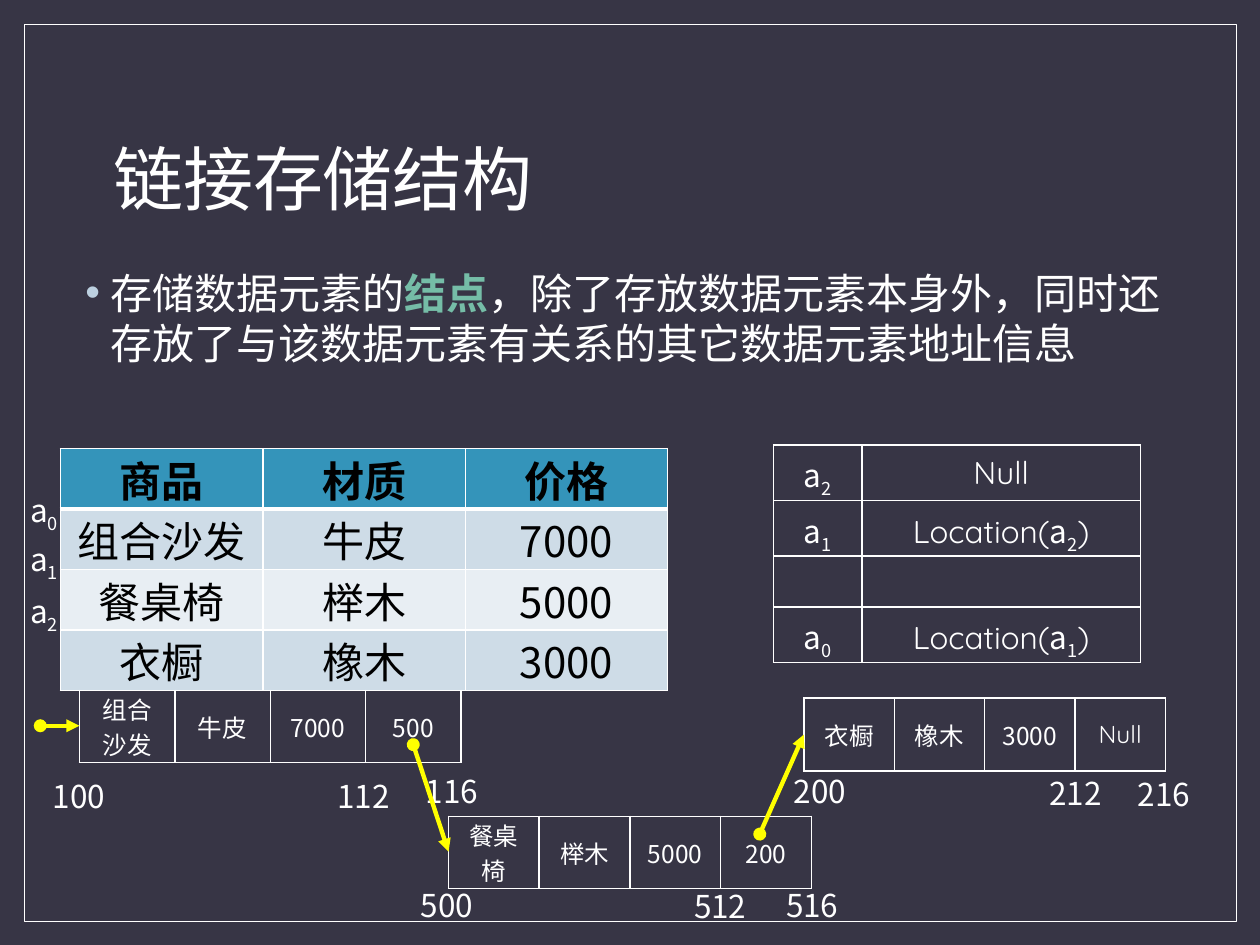
from pptx import Presentation
from pptx.dml.color import RGBColor
from pptx.enum.shapes import MSO_CONNECTOR as Conn, MSO_SHAPE as Shape
from pptx.enum.text import MSO_ANCHOR as Anchor, PP_ALIGN as Align
from pptx.oxml import parse_xml
from pptx.oxml.ns import nsdecls
from pptx.util import Inches, Pt

WHITE = RGBColor(0xFF, 0xFF, 0xFF)
BLACK = RGBColor(0, 0, 0)
DARK = RGBColor(0x37, 0x35, 0x45)
GREEN = RGBColor(0x75, 0xBD, 0xA7)
BLUE = RGBColor(0x34, 0x94, 0xBA)
PALE = RGBColor(0xCE, 0xDC, 0xE7)
LIGHT = RGBColor(0xE8, 0xEE, 0xF3)
MIST = RGBColor(0xBC, 0xD0, 0xE0)
YELLOW = RGBColor(0xFF, 0xFF, 0)
HAN = "Noto Sans CJK SC"
LATIN = "Quicksand"


def node(xml):
    return parse_xml(f"<a:p {nsdecls('a')}>{xml}</a:p>")[0]


def write(par, bits, **base):
    for text, own in bits:
        run = par.add_run()
        run.text = text
        fmt = {"name": HAN, "size": 18, "color": WHITE, **base, **own}
        color, sub = fmt.pop("color"), fmt.pop("sub", False)
        fmt["size"] = Pt(fmt["size"])
        for key, val in fmt.items():
            setattr(run.font, key, val)
        run.font.color.rgb = color
        props = run._r.get_or_add_rPr()
        props.append(node(f'<a:ea typeface="{fmt["name"]}"/>'))
        if sub:
            props.set("baseline", "-25000")


def plain(text):
    return [(text, {})]


def item(num):
    return [("a", {}), (str(num), {"sub": True})]


def link(num):
    return [("Location(", {"name": LATIN}), *item(num), (")", {"name": LATIN})]


def add_text(slide, box, bits, wrap=True, anchor=Anchor.TOP, **fmt):
    frame = slide.shapes.add_textbox(*map(Inches, box)).text_frame
    frame.word_wrap = wrap
    frame.vertical_anchor = anchor
    par = frame.paragraphs[0]
    write(par, bits, **fmt)
    return par


def edge(cell, side, width):
    cell._tc.get_or_add_tcPr().append(node(
        f'<a:ln{side} w="{Pt(width)}"><a:solidFill>'
        f'<a:srgbClr val="{WHITE}"/></a:solidFill></a:ln{side}>'))


def add_grid(slide, box, rows, wide, high, fills, pad=None, **fmt):
    frame = slide.shapes.add_table(len(rows), len(wide), *map(Inches, box))
    table = frame.table
    table.first_row = table.horz_banding = False
    for col, size in zip(table.columns, wide):
        col.width = Inches(size)
    for r, row in enumerate(rows):
        table.rows[r].height = Inches(high)
        for c, bits in enumerate(row):
            cell = table.cell(r, c)
            for key, val in (pad or {}).items():
                setattr(cell, f"margin_{key}", Inches(val))
            par = cell.text_frame.paragraphs[0]
            par.alignment = Align.CENTER
            write(par, bits, **fmt)
            for side in "LRTB":
                edge(cell, side, 1)
            if fills[r] is None:
                cell.fill.background()
            else:
                cell.fill.solid()
                cell.fill.fore_color.rgb = fills[r]
    return table


def add_goods(slide, box):
    names = [("商品", "材质", "价格"), ("组合沙发", "牛皮", "7000"),
             ("餐桌椅", "榉木", "5000"), ("衣橱", "橡木", "3000")]
    rows = [[plain(name) for name in row] for row in names]
    pad = dict.fromkeys(("left", "right", "top", "bottom"), 0)
    table = add_grid(slide, box, rows, [box[2] / 3] * 3, box[3] / 4,
                     [BLUE, PALE, LIGHT, PALE], pad, size=24, color=BLACK)
    for cell in table.rows[0].cells:
        cell.text_frame.paragraphs[0].runs[0].font.bold = True
        for line in cell._tc.tcPr.findall("{*}lnB"):
            line.set("w", str(Pt(3)))
    for num, top in enumerate((0.29, 0.68, 1.09)):
        add_text(slide, (box[0] - 0.34, box[1] + top, 0.64, 0.4), item(num))


def add_links(slide, box):
    rows = [[item(2), [("Null", {"name": LATIN})]], [item(1), link(2)],
            [[], []], [item(0), link(1)]]
    table = add_grid(slide, box, rows, (0.7, box[2] - 0.7), box[3] / 4, [None] * 4)
    for cell in table.iter_cells():
        cell.vertical_anchor = Anchor.MIDDLE


def add_node(slide, box, words, marks):
    row = [[(word, {"name": LATIN if word == "Null" else HAN})] for word in words]
    table = add_grid(slide, box, [row], [box[2] / 4] * 4, box[3], [DARK],
                     {"top": 0, "bottom": 0}, size=14)
    for cell in table.iter_cells():
        cell.vertical_anchor = Anchor.MIDDLE
    table.cell(0, 3).fill.background()
    for mark, left, top in marks:
        add_text(slide, (left, top, 0.62, 0.4), plain(mark), wrap=False)


def add_arrow(slide, start, end):
    line = slide.shapes.add_connector(Conn.STRAIGHT, *map(Inches, start + end))
    line.line.color.rgb = YELLOW
    line.line.width = Pt(2.5)
    stroke = line.line._get_or_add_ln()
    stroke.append(node('<a:headEnd type="oval"/>'))
    stroke.append(node('<a:tailEnd type="triangle"/>'))
    line._element.spPr.append(node("<a:effectLst/>"))


def add_frame(slide, box):
    rect = slide.shapes.add_shape(Shape.RECTANGLE, *map(Inches, box))
    rect.shadow.inherit = False
    rect.fill.background()
    rect.line.color.rgb = WHITE
    rect.line.width = Pt(0.5)


def add_body(slide, box):
    bits = [("存储数据元素的", {}), ("结点", {"color": GREEN, "bold": True}),
            ("，除了存放数据元素本身外，同时还存放了与该数据元素有关系的其它数据元素地址信息", {})]
    par = add_text(slide, box, bits, size=24)
    par.line_spacing = 1.0
    props = par._p.get_or_add_pPr()
    props.set("marL", str(Inches(0.2)))
    props.set("indent", str(Inches(-0.2)))
    for xml in (f'<a:buClr><a:srgbClr val="{MIST}"/></a:buClr>',
                '<a:buFont typeface="Arial"/>', '<a:buChar char="•"/>'):
        props.append(node(xml))


def main():
    deck = Presentation()
    deck.slide_width, deck.slide_height = Inches(10), Inches(7.5)
    slide = deck.slides.add_slide(deck.slide_layouts[6])
    slide.background.fill.solid()
    slide.background.fill.fore_color.rgb = DARK
    add_frame(slide, (0.19, 0.19, 9.62, 7.12))
    title = add_text(slide, (0.8, 0.7, 8.4, 1.5), plain("链接存储结构"),
                     anchor=Anchor.MIDDLE, size=40)
    title.line_spacing = 0.9
    add_body(slide, (0.58, 2.07, 8.95, 0.98))
    add_goods(slide, (0.48, 3.56, 4.82, 1.92))
    add_links(slide, (6.14, 3.53, 2.91, 1.62))
    add_node(slide, (0.63, 5.48, 3.03, 0.57), ("组合沙发", "牛皮", "7000", "500"),
             [("100", 0.32, 6.12), ("112", 2.58, 6.12), ("116", 3.28, 6.08)])
    add_node(slide, (3.56, 6.48, 2.88, 0.57), ("餐桌椅", "榉木", "5000", "200"),
             [("500", 3.24, 6.98), ("512", 5.41, 6.99), ("516", 6.14, 6.98)])
    add_node(slide, (6.38, 5.54, 2.87, 0.58), ("衣橱", "橡木", "3000", "Null"),
             [("200", 6.2, 6.08), ("212", 8.23, 6.09), ("216", 8.93, 6.1)])
    add_arrow(slide, (0.32, 5.76), (0.63, 5.76))
    add_arrow(slide, (3.28, 5.91), (3.56, 6.76))
    add_arrow(slide, (6.03, 6.62), (6.38, 5.83))
    deck.save("out.pptx")


if __name__ == "__main__":
    main()
